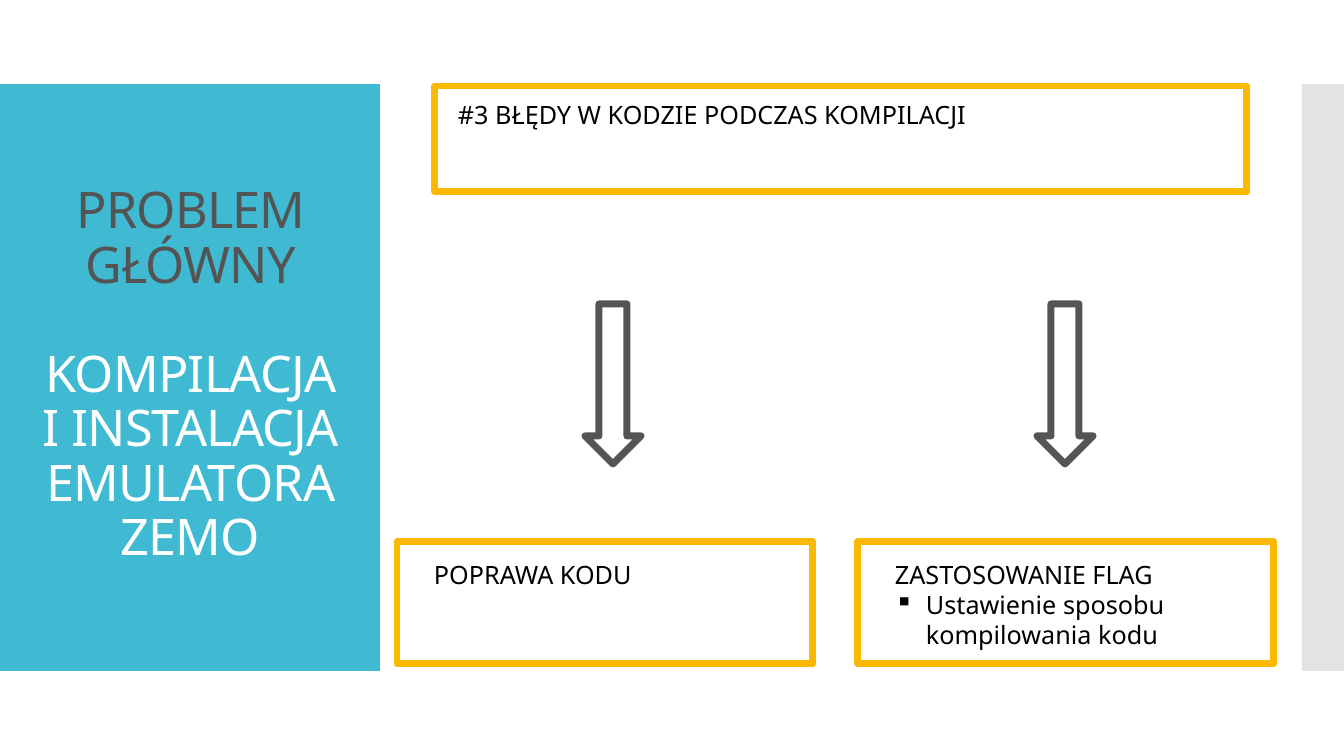
from lxml import etree
from pptx import Presentation
from pptx.dml.color import RGBColor
from pptx.enum.shapes import MSO_SHAPE
from pptx.enum.text import MSO_ANCHOR, PP_ALIGN
from pptx.oxml.ns import qn
from pptx.util import Pt

EMU_PER_PX = 914400 / 100.8
FONT = "Noto Sans"
TEAL, SILVER, AMBER, GREY = "40BAD2", "C8C8C8", "FAB900", "545454"
BLACK, WHITE = "000000", "FFFFFF"


def px(value):
    return round(value * EMU_PER_PX)


def rgb(value):
    return RGBColor.from_string(value)


class Board:
    def __init__(self, slide):
        self.shapes = slide.shapes

    def shape(self, kind, box):
        shape = self.shapes.add_shape(kind, *map(px, box))
        shape.shadow.inherit = False
        return shape

    def panel(self, box, color, opacity=100):
        """Filled rectangle without outline."""
        shape = self.shape(MSO_SHAPE.RECTANGLE, box)
        shape.fill.solid()
        shape.fill.fore_color.rgb = rgb(color)
        shape.line.fill.background()
        if opacity < 100:
            tint = next(shape.element.spPr.iter(qn("a:srgbClr")))
            etree.SubElement(tint, qn("a:alpha"), val=str(opacity * 1000))

    def outline(self, kind, box, color):
        """Unfilled shape with a thick, round-jointed outline."""
        shape = self.shape(kind, box)
        shape.fill.background()
        shape.line.color.rgb = rgb(color)
        shape.line.width = Pt(5)
        etree.SubElement(shape.element.spPr.find(qn("a:ln")), qn("a:round"))

    def text(self, box, lines, size=18, colors=(BLACK,), title=False):
        """One paragraph per line; returns the paragraphs."""
        frame = self.shapes.add_textbox(*map(px, box)).text_frame
        frame.word_wrap = True
        paragraphs = []
        for i, line in enumerate(lines):
            paragraph = frame.add_paragraph() if i else frame.paragraphs[0]
            run = paragraph.add_run()
            run.text = line
            run.font.name, run.font.size = FONT, Pt(size)
            run.font.color.rgb = rgb(colors[i % len(colors)])
            if title:
                paragraph.alignment = PP_ALIGN.CENTER
                paragraph.line_spacing = 0.9
                run.font._element.set("spc", "-60")
            paragraphs.append(paragraph)
        if title:
            frame.vertical_anchor = MSO_ANCHOR.MIDDLE
        return paragraphs

    def bullet(self, paragraph, mark="▪", indent=31):
        pPr = paragraph._p.get_or_add_pPr()
        pPr.set("marL", str(px(indent)))
        pPr.set("indent", str(-px(indent)))
        etree.SubElement(pPr, qn("a:buChar"), char=mark)


prs = Presentation()
prs.slide_width, prs.slide_height = px(1344), px(756)
board = Board(prs.slides.add_slide(prs.slide_layouts[6]))

# Side panels
board.panel((0, 84, 380, 587), TEAL)
board.panel((1302, 84, 42, 587), SILVER, opacity=50)

# Title
title = board.text((28, 93, 325, 566),
                   ["PROBLEM GŁÓWNY", "KOMPILACJA I INSTALACJA EMULATORA ZEMO"],
                   size=36, colors=(GREY, WHITE), title=True)
title[1].space_before = Pt(39)

# Problem
board.outline(MSO_SHAPE.RECTANGLE, (435, 86, 812, 106), AMBER)
board.text((448, 94, 787, 72), ["#3 BŁĘDY W KODZIE PODCZAS KOMPILACJI"])

# Solutions, each under its arrow
solutions = [
    (397, 585, ["POPRAWA KODU"]),
    (858, 1037, ["ZASTOSOWANIE FLAG", "Ustawienie sposobu kompilowania kodu"]),
]
for left, arrow_left, lines in solutions:
    board.outline(MSO_SHAPE.DOWN_ARROW, (arrow_left, 304, 56, 160), GREY)
    board.outline(MSO_SHAPE.RECTANGLE, (left, 542, 416, 122), AMBER)
    for detail in board.text((left + 27, 554, 363, 102), lines)[1:]:
        board.bullet(detail)

prs.save("out.pptx")
